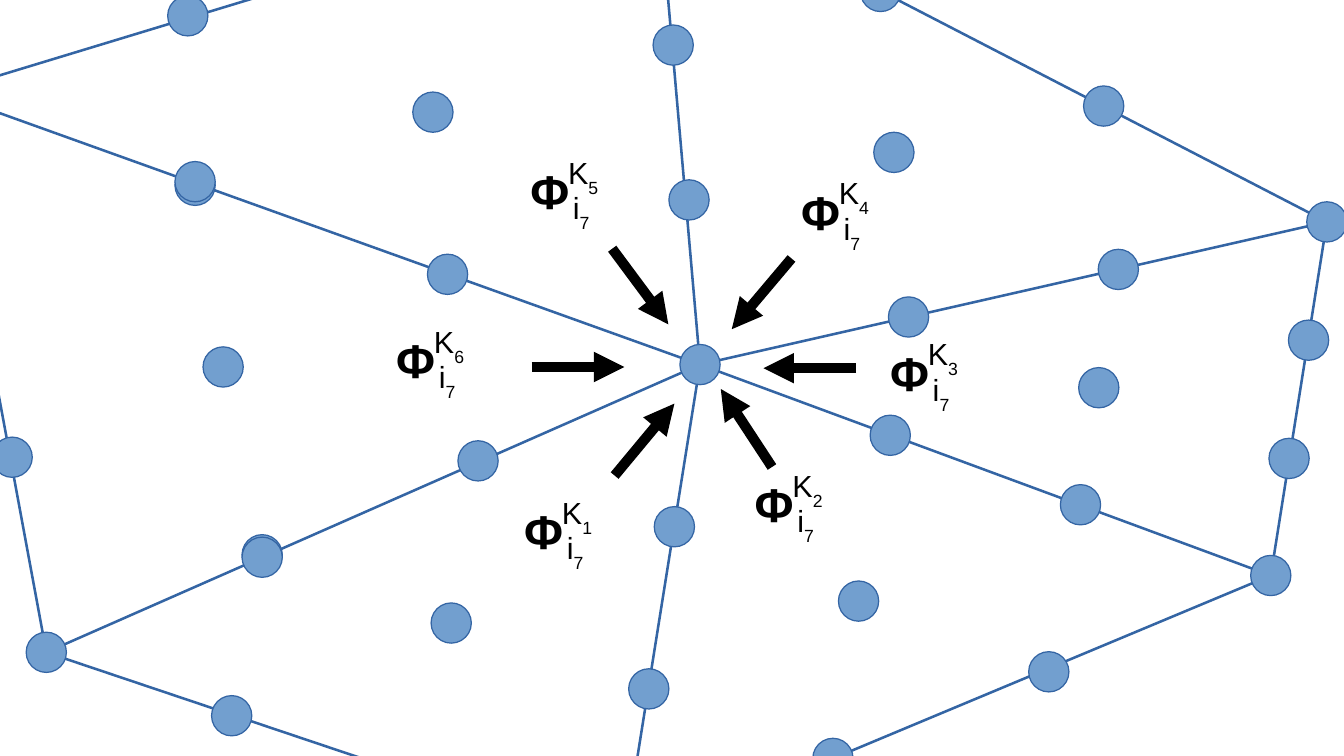
from lxml.etree import SubElement
from pptx import Presentation
from pptx.dml.color import RGBColor
from pptx.enum.shapes import MSO_CONNECTOR, MSO_SHAPE
from pptx.oxml.ns import qn
from pptx.util import Inches, Pt

NODE_BLUE = RGBColor(0x72, 0x9F, 0xCF)
EDGE_BLUE = RGBColor(0x34, 0x65, 0xA4)
BLACK = RGBColor(0, 0, 0)
NODE_SIZE = 0.33

CENTER = (5.74, 2.99)
CORNERS = [(10.88, 1.82), (10.42, 4.72), (5.11, 6.94), (0.38, 5.35), (-0.47, 0.76), (5.39, -1.02)]
VISIBLE_CORNERS = [CORNERS[0], CORNERS[1], CORNERS[3]]
SPOKE_NODES = [
    (7.45, 2.6), (9.17, 2.21), (7.3, 3.57), (8.86, 4.14), (5.53, 4.32), (5.32, 5.65),
    (3.92, 3.78), (2.15, 4.55), (2.15, 4.57), (3.67, 2.25), (1.6, 1.52), (1.6, 1.49),
    (5.65, 1.64), (5.52, 0.37),
]
RIM_NODES = [
    (10.73, 2.79), (10.57, 3.76), (8.6, 5.51), (6.83, 6.22), (1.9, 5.87),
    (0.1, 3.75), (1.54, 0.13), (7.22, -0.07), (9.05, 0.87),
]
INNER_NODES = [(9.01, 3.18), (7.04, 4.93), (3.7, 5.11), (1.83, 3.01), (3.55, 0.92), (7.33, 1.25)]

LABEL_POSITIONS = [(4.2, 4.07), (6.09, 3.85), (7.2, 2.77), (6.47, 1.45), (4.25, 1.28), (3.15, 2.67)]
ARROWS = [
    ((5.04, 3.9), (5.53, 3.31)),
    ((6.33, 3.83), (5.91, 3.19)),
    ((7.02, 3.02), (6.26, 3.02)),
    ((6.49, 2.12), (6, 2.7)),
    ((5.02, 2.04), (5.48, 2.66)),
    ((4.36, 3.01), (5.12, 3.01)),
]


def add_line(slide, start, end, color, width):
    """Draw a straight line without shadow and return it."""
    points = [Inches(value) for value in (*start, *end)]
    connector = slide.shapes.add_connector(MSO_CONNECTOR.STRAIGHT, *points)
    connector.line.color.rgb = color
    connector.line.width = Pt(width)
    SubElement(connector._element.spPr, qn("a:effectLst"))
    return connector


def add_arrow(slide, start, end):
    """Draw a thick black arrow that points at the end."""
    arrow = add_line(slide, start, end, BLACK, 6)
    SubElement(arrow.line._get_or_add_ln(), qn("a:tailEnd"), type="triangle")


def add_node(slide, middle):
    """Draw a mesh node around its middle."""
    left, top = (Inches(value - NODE_SIZE / 2) for value in middle)
    node = slide.shapes.add_shape(MSO_SHAPE.OVAL, left, top, Inches(NODE_SIZE), Inches(NODE_SIZE))
    node.shadow.inherit = False
    node.fill.solid()
    node.fill.fore_color.rgb = NODE_BLUE
    node.line.color.rgb = EDGE_BLUE
    node.line.width = Pt(0)


def add_symbol(slide, left, top, width, height, text, size, bold=False, subscript=""):
    """Write a symbol with an optional subscript."""
    box = slide.shapes.add_textbox(Inches(left), Inches(top), Inches(width), Inches(height))
    box.text_frame.word_wrap = True
    paragraph = box.text_frame.paragraphs[0]
    paragraph.font.name = "Arial"
    paragraph.font.size = Pt(size)
    paragraph.font.bold = bold
    paragraph.font.color.rgb = BLACK
    paragraph.add_run().text = text
    if subscript:
        run = paragraph.add_run()
        run.text = subscript
        run._r.get_or_add_rPr().set("baseline", "-33000")


def add_residual_label(slide, left, top, element):
    """Write Φ with its element above and its node below."""
    add_symbol(slide, left, top, 0.3, 0.53, "Φ", 28, bold=True)
    add_symbol(slide, left + 0.31, top - 0.07, 0.54, 0.49, "K", 18, subscript=str(element))
    add_symbol(slide, left + 0.35, top + 0.22, 0.5, 0.5, "i", 18, subscript="7")


def main():
    """Build the mesh slide and save it."""
    presentation = Presentation()
    presentation.slide_width = Inches(11.02)
    presentation.slide_height = Inches(6.2)
    slide = presentation.slides.add_slide(presentation.slide_layouts[6])

    for corner, next_corner in zip(CORNERS, CORNERS[1:] + CORNERS[:1]):
        add_line(slide, CENTER, corner, EDGE_BLUE, 1.5)
        add_line(slide, corner, next_corner, EDGE_BLUE, 1.5)
    for middle in SPOKE_NODES + RIM_NODES + INNER_NODES + VISIBLE_CORNERS + [CENTER]:
        add_node(slide, middle)
    for element, (left, top) in enumerate(LABEL_POSITIONS, start=1):
        add_residual_label(slide, left, top, element)
    for start, end in ARROWS:
        add_arrow(slide, start, end)

    presentation.save("out.pptx")


if __name__ == "__main__":
    main()
